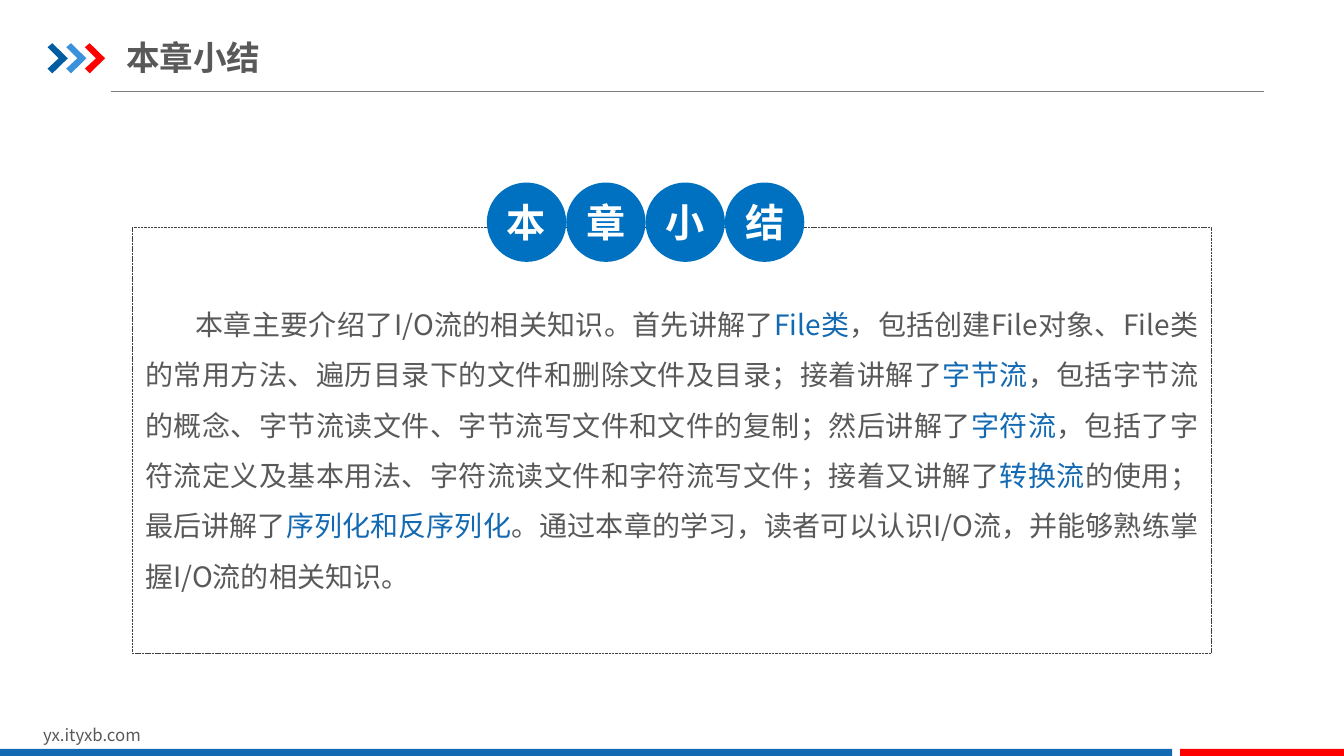
from lxml.etree import SubElement
from pptx import Presentation
from pptx.dml.color import RGBColor
from pptx.enum.dml import MSO_LINE_DASH_STYLE as Dash
from pptx.enum.shapes import MSO_CONNECTOR as Connector, MSO_SHAPE as Shape
from pptx.enum.text import MSO_ANCHOR as Anchor, PP_ALIGN as Align
from pptx.oxml.ns import qn
from pptx.util import Cm, Pt

FONT = "Noto Sans CJK SC"
COLORS = {
    "text": "595959",
    "accent": "1369B2",
    "red": "FF0000",
    "navy": "005DA2",
    "sky": "3992DB",
    "badge": "0070C0",
    "rule": "808080",
    "frame": "404040",
    "white": "FFFFFF",
}
CHEVRON = [(0, 0.1), (0.12, 0), (0.51, 0.38), (0.12, 0.76), (0, 0.64), (0.28, 0.38)]
SUMMARY = [
    ("本章主要介绍了I/O流的相关知识。首先讲解了", "text"),
    ("File类", "accent"),
    ("，包括创建File对象、File类的常用方法、遍历目录下的文件和删除文件及目录；接着讲解了", "text"),
    ("字节流", "accent"),
    ("，包括字节流的概念、字节流读文件、字节流写文件和文件的复制；然后讲解了", "text"),
    ("字符流", "accent"),
    ("，包括了字符流定义及基本用法、字符流读文件和字符流写文件；接着又讲解了", "text"),
    ("转换流", "accent"),
    ("的使用；最后讲解了", "text"),
    ("序列化和反序列化", "accent"),
    ("。通过本章的学习，读者可以认识I/O流，并能够熟练掌握I/O流的相关知识。", "text"),
]


def rgb(name):
    return RGBColor.from_string(COLORS[name])


def style(paragraph, size, color, bold=False):
    font = paragraph.font
    font.size, font.bold, font.name = Pt(size), bold, FONT
    font.color.rgb = rgb(color)
    defaults = paragraph._p.pPr.find(qn("a:defRPr"))
    SubElement(defaults, qn("a:ea")).set("typeface", FONT)


def add_filled(slide, kind, box, color):
    shape = slide.shapes.add_shape(kind, *map(Cm, box))
    shape.shadow.inherit = False
    shape.fill.solid()
    shape.fill.fore_color.rgb = rgb(color)
    shape.line.fill.background()
    return shape


def add_chevron(slide, left, top, color):
    points = [(Cm(left + x), Cm(top + y)) for x, y in CHEVRON]
    builder = slide.shapes.build_freeform(*points[0])
    builder.add_line_segments(points[1:], close=True)
    chevron = builder.convert_to_shape()
    chevron.shadow.inherit = False
    chevron.fill.solid()
    chevron.fill.fore_color.rgb = rgb(color)
    chevron.line.fill.background()


def add_rule(slide, left, right, top):
    rule = slide.shapes.add_connector(
        Connector.STRAIGHT, Cm(left), Cm(top), Cm(right), Cm(top))
    rule.line.color.rgb = rgb("rule")
    rule.line.width = Pt(0.75)
    SubElement(rule._element.spPr, qn("a:effectLst"))


def add_text(slide, box, runs, size, bold=False, side=0.25, anchor=Anchor.TOP):
    frame = slide.shapes.add_textbox(*map(Cm, box)).text_frame
    frame.word_wrap = True
    frame.vertical_anchor = anchor
    frame.margin_left = frame.margin_right = Cm(side)
    frame.margin_top = frame.margin_bottom = Cm(0.18 if side != 0.25 else 0.13)
    paragraph = frame.paragraphs[0]
    style(paragraph, size, "text", bold)
    for words, color in runs:
        run = paragraph.add_run()
        run.text = words
        if color != "text":
            run.font.color.rgb = rgb(color)
    return paragraph


def add_frame(slide, box):
    frame = slide.shapes.add_shape(Shape.ROUNDED_RECTANGLE, *map(Cm, box))
    frame.adjustments[0] = 0
    frame.shadow.inherit = False
    frame.fill.background()
    frame.line.color.rgb = rgb("frame")
    frame.line.width = Pt(0.25)
    frame.line.dash_style = Dash.SQUARE_DOT


def add_badge(slide, left, top, character):
    badge = add_filled(slide, Shape.OVAL, (left, top, 2, 2), "badge")
    frame = badge.text_frame
    frame.vertical_anchor = Anchor.MIDDLE
    frame.word_wrap = False
    paragraph = frame.paragraphs[0]
    paragraph.alignment = Align.CENTER
    style(paragraph, 28, "white", True)
    paragraph.add_run().text = character


def main():
    deck = Presentation()
    deck.slide_width, deck.slide_height = Cm(33.87), Cm(19.05)
    slide = deck.slides.add_slide(deck.slide_layouts[6])

    add_rule(slide, 2.79, 31.85, 2.31)
    for i, color in enumerate(("navy", "sky", "red")):
        add_chevron(slide, 1.2 + 0.47 * i, 1.09, color)
    add_text(slide, (0.84, 18.14, 8.08, 0.76), [("yx.ityxb.com", "text")], 12)
    add_filled(slide, Shape.RECTANGLE, (0, 18.87, 29.54, 0.23), "accent")
    add_filled(slide, Shape.RECTANGLE, (29.74, 18.87, 4.13, 0.23), "red")

    add_text(slide, (3.18, 0.74, 15.75, 1.4), [("本章小结", "text")], 24,
             bold=True, side=0, anchor=Anchor.MIDDLE)
    summary = add_text(slide, (3.33, 7.14, 27.2, 8.03), SUMMARY, 20, side=0.33)
    summary.alignment = Align.JUSTIFY
    summary.line_spacing = 1.5
    summary._p.pPr.set("indent", str(Cm(1.27)))

    add_frame(slide, (3.33, 5.72, 27.2, 10.74))
    for i, character in enumerate("本章小结"):
        add_badge(slide, 12.27 + 2 * i, 4.6, character)

    deck.save("out.pptx")


if __name__ == "__main__":
    main()
